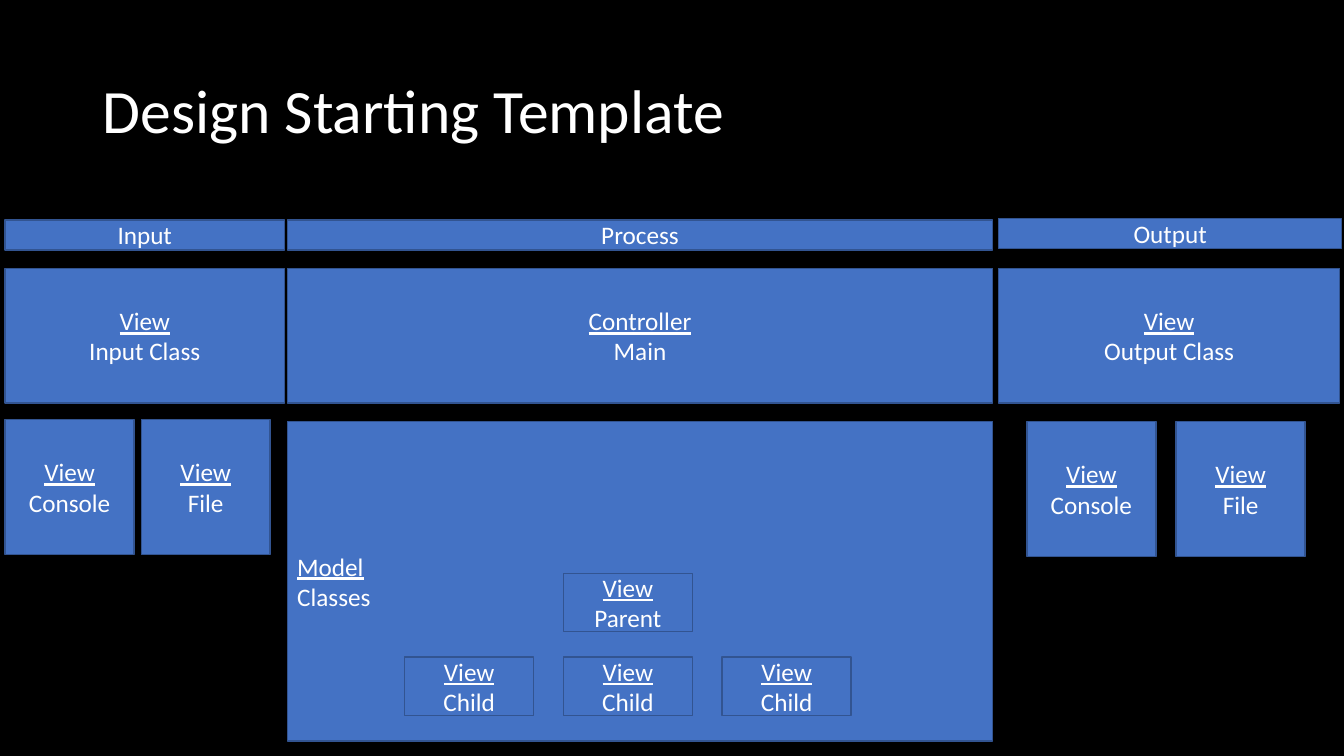
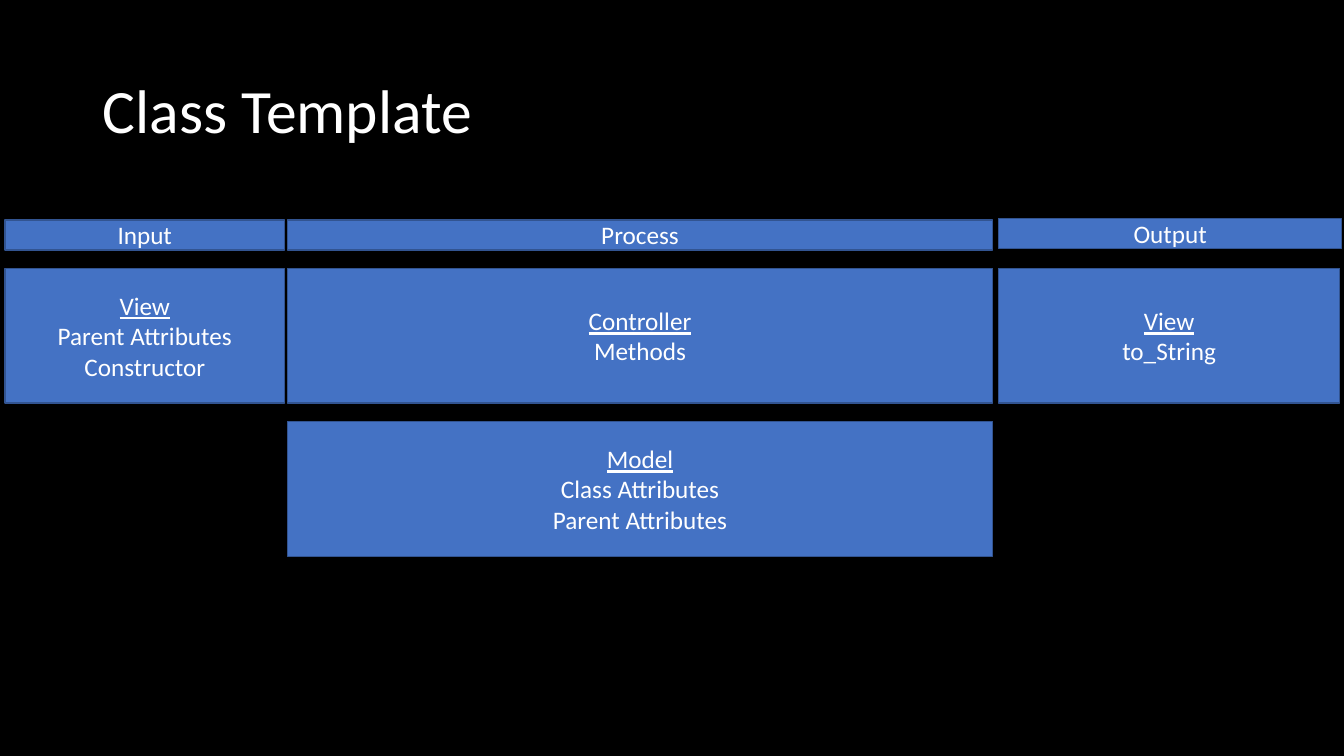
import pptx
import pptx.util
import pptx.dml.color
import pptx.enum.shapes
import pptx.enum.text

Cm = pptx.util.Cm
ALIGN = pptx.enum.text.PP_ALIGN

# Shared style
BLACK = pptx.dml.color.RGBColor(0x00, 0x00, 0x00)
WHITE = pptx.dml.color.RGBColor(0xFF, 0xFF, 0xFF)
BLUE = pptx.dml.color.RGBColor(0x44, 0x72, 0xC4)
DARK_BLUE = pptx.dml.color.RGBColor(0x32, 0x54, 0x91)
FONT = "Calibri"
TITLE_ONLY = 5

# Shared grid, in centimetres
INPUT_LEFT, INPUT_WIDTH = 0.13, 7.04
PROCESS_LEFT, PROCESS_WIDTH = 7.24, 17.78
OUTPUT_LEFT, OUTPUT_WIDTH = 25.17, 8.59
CLASS_TOP, CLASS_HEIGHT = 6.76, 3.4
MODEL_TOP = 10.62
SMALL_WIDTH, SMALL_HEIGHT = 3.25, 1.47
HEADERS = [
    ("Process", PROCESS_LEFT, 5.54, PROCESS_WIDTH),
    ("Input", INPUT_LEFT, 5.54, INPUT_WIDTH),
    ("Output", OUTPUT_LEFT, 5.51, 8.64),
]


def write_text(text_frame, lines, size=18, align=ALIGN.CENTER,
               underline_first=False, line_spacing=None):
    """Write one paragraph per line, optionally underlining the first."""
    text_frame.word_wrap = True
    text_frame.auto_size = pptx.enum.text.MSO_AUTO_SIZE.NONE
    text_frame.vertical_anchor = pptx.enum.text.MSO_ANCHOR.MIDDLE
    for index, line in enumerate(lines):
        paragraph = text_frame.paragraphs[0] if index == 0 else text_frame.add_paragraph()
        paragraph.alignment = align
        paragraph.line_spacing = line_spacing
        run = paragraph.add_run()
        run.text = line
        run.font.name = FONT
        run.font.size = pptx.util.Pt(size)
        run.font.color.rgb = WHITE
        run.font.underline = underline_first and index == 0


def add_box(slide, lines, left, top, width, height, **text_format):
    shape = slide.shapes.add_shape(
        pptx.enum.shapes.MSO_SHAPE.RECTANGLE,
        Cm(left), Cm(top), Cm(width), Cm(height))
    shape.shadow.inherit = False
    shape.fill.solid()
    shape.fill.fore_color.rgb = BLUE
    shape.line.color.rgb = DARK_BLUE
    shape.line.width = pptx.util.Pt(1)
    write_text(shape.text_frame, lines, **text_format)


def add_role_box(slide, lines, left, top, width, height=CLASS_HEIGHT, **text_format):
    """Add a box whose first line names the role, underlined."""
    add_box(slide, lines, left, top, width, height, underline_first=True, **text_format)


def add_view_row(slide, names, left, top, step, height=CLASS_HEIGHT):
    """Add equally spaced small view boxes."""
    for index, name in enumerate(names):
        add_role_box(slide, ["View", name], left + index * step, top, SMALL_WIDTH, height)


def add_template_slide(presentation, title, input_lines, process_lines, output_lines):
    """Add a slide with its title, column headers and main row of classes."""
    slide = presentation.slides.add_slide(presentation.slide_layouts[TITLE_ONLY])
    title_shape = slide.shapes.title
    title_shape.left, title_shape.top = Cm(2.34), Cm(1.01)
    title_shape.width, title_shape.height = Cm(29.21), Cm(3.68)
    write_text(title_shape.text_frame, [title], size=44, align=ALIGN.LEFT,
               line_spacing=0.9)
    for name, left, top, width in HEADERS:
        add_box(slide, [name], left, top, width, 0.76)
    add_role_box(slide, process_lines, PROCESS_LEFT, CLASS_TOP, PROCESS_WIDTH)
    add_role_box(slide, input_lines, INPUT_LEFT, CLASS_TOP, INPUT_WIDTH)
    add_role_box(slide, output_lines, OUTPUT_LEFT, CLASS_TOP, OUTPUT_WIDTH)
    return slide


def add_design_slide(presentation):
    slide = add_template_slide(
        presentation, "Design Starting Template",
        ["View", "Input Class"], ["Controller", "Main"], ["View", "Output Class"])
    add_role_box(slide, ["Model", "Classes"], PROCESS_LEFT, MODEL_TOP,
                 PROCESS_WIDTH, 8.05, align=ALIGN.LEFT)
    # Input and output channels
    channels = ["Console", "File"]
    add_view_row(slide, channels, INPUT_LEFT, 10.57, 3.43)
    add_view_row(slide, channels, 25.88, MODEL_TOP, 3.76)
    # Class hierarchy, with the parent above the middle child
    child_left, child_step = 10.2, 4
    add_view_row(slide, ["Parent"], child_left + child_step, 14.45, child_step, SMALL_HEIGHT)
    add_view_row(slide, ["Child"] * 3, child_left, 16.56, child_step, SMALL_HEIGHT)


def add_class_slide(presentation):
    slide = add_template_slide(
        presentation, "Class Template",
        ["View", "Parent Attributes", "Constructor"],
        ["Controller", "Methods"], ["View", "to_String"])
    add_role_box(slide, ["Model", "Class Attributes", "Parent Attributes"],
                 PROCESS_LEFT, MODEL_TOP, PROCESS_WIDTH)


def main():
    presentation = pptx.Presentation()
    presentation.slide_width, presentation.slide_height = Cm(33.87), Cm(19.05)
    background = presentation.slide_master.background.fill
    background.solid()
    background.fore_color.rgb = BLACK
    add_design_slide(presentation)
    add_class_slide(presentation)
    presentation.save("out.pptx")


if __name__ == "__main__":
    main()
